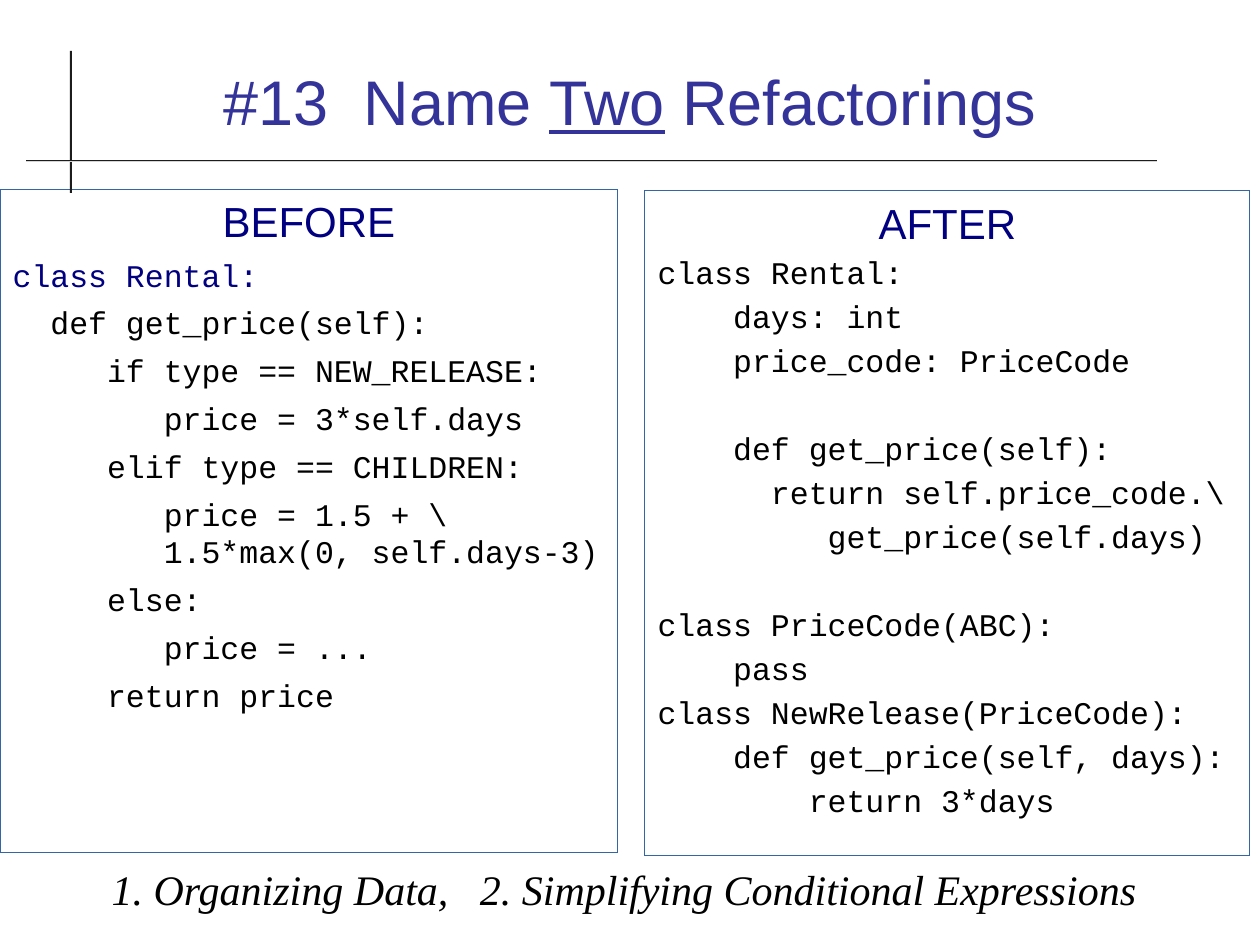
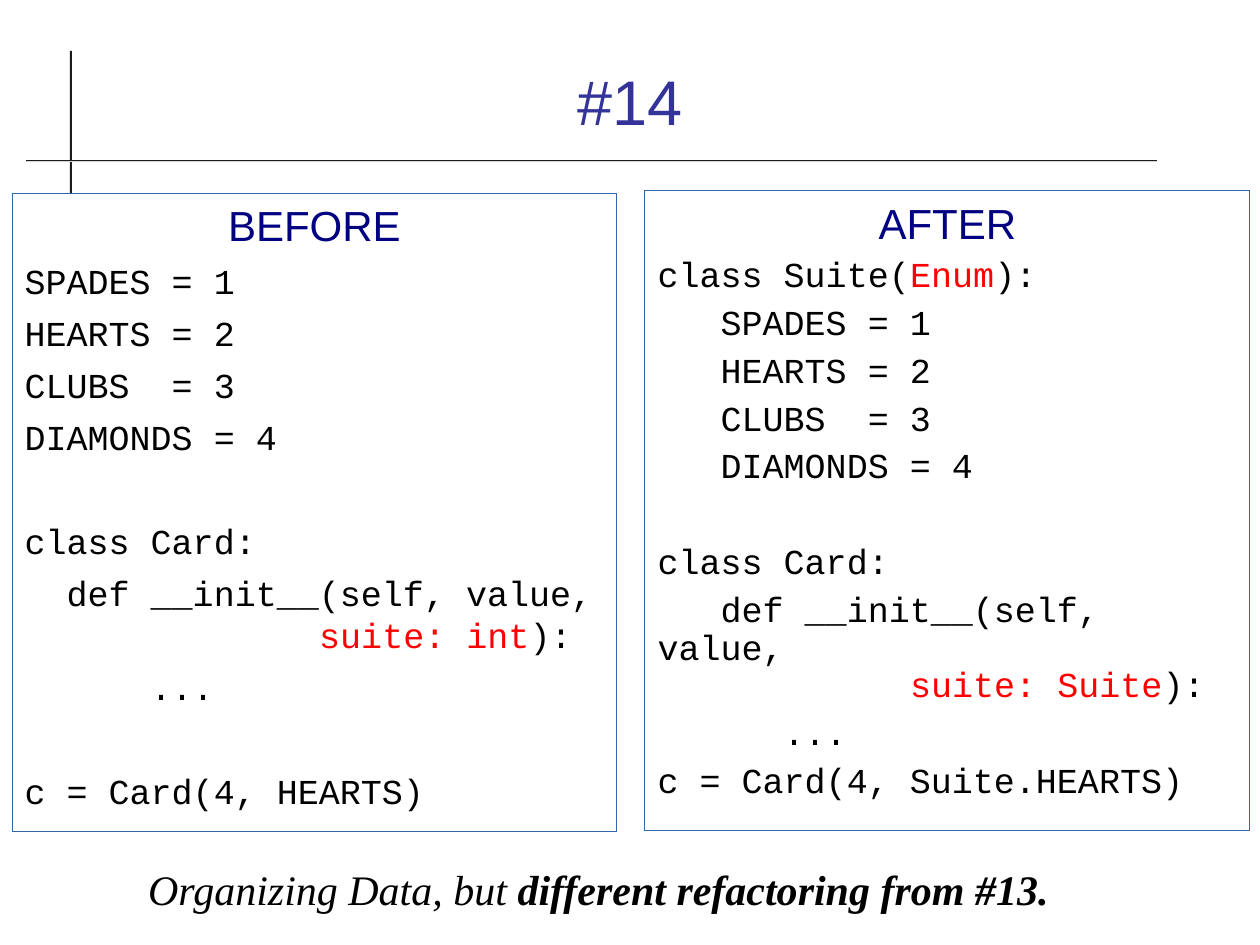
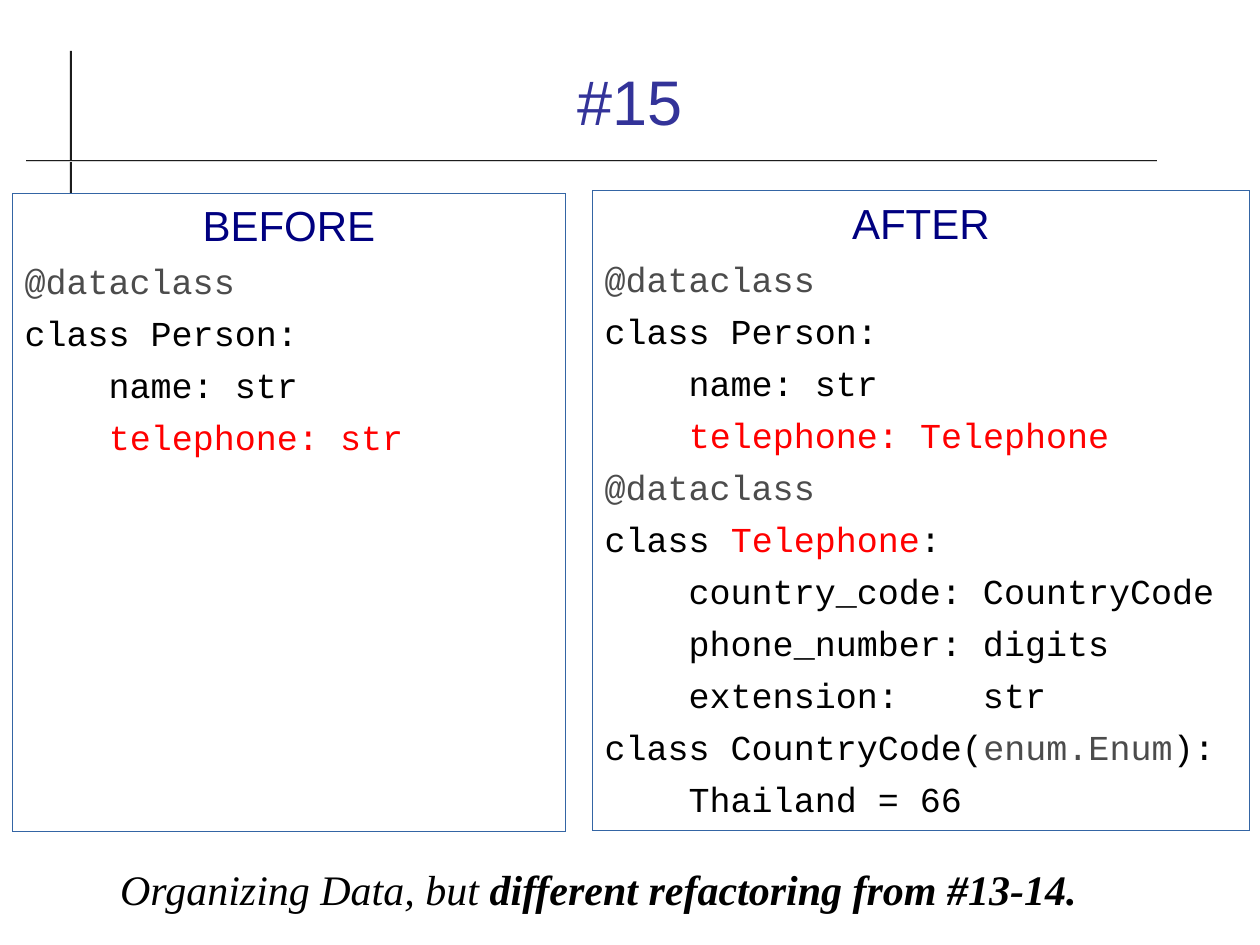
"""Build three before-and-after refactoring slides."""
from pptx import Presentation
from pptx.dml.color import RGBColor
from pptx.enum.shapes import MSO_SHAPE
from pptx.enum.text import MSO_ANCHOR, MSO_AUTO_SIZE, PP_ALIGN
from pptx.oxml.ns import qn
from pptx.util import Emu, Pt
from lxml.etree import SubElement

PX = 7257
INK, BLUE, NAVY, RED, GREY = "000000", "333399", "000080", "FF0000", "4C4C4C"
EDGE, BAR, WHITE = "3465A4", "1C1C1C", "FFFFFF"
TITLE = {"name": "Arial", "size": Pt(36), "color": BLUE}
HEAD = {"name": "Arial", "size": Pt(24), "color": NAVY}
CODE = {"name": "Courier New", "color": INK}
NOTE = {"name": "Times New Roman", "size": Pt(24), "color": INK, "italic": True}
TINTS = {"class Rental:": NAVY, "@dataclass": GREY, "enum.Enum": GREY}
GAP = 5.7


def paint(color):
    return RGBColor.from_string(color)


def write(para, text, style, **more):
    run = para.add_run()
    run.text = text
    for key, val in {**style, **more}.items():
        if key == "color":
            run.font.color.rgb = paint(val)
        else:
            setattr(run.font, key, val)


rental = r"""|class Rental:|
  def get_price(self):
     if type == NEW_RELEASE:
        price = 3*self.days
     elif type == CHILDREN:
        price = 1.5 + \¶        1.5*max(0, self.days-3)
     else:
        price = ...
     return price"""

price = r"""class Rental:
    days: int
    price_code: PriceCode

    def get_price(self):
      return self.price_code.\
         get_price(self.days)

class PriceCode(ABC):
    pass
class NewRelease(PriceCode):
    def get_price(self, days):
        return 3*days"""

cards = """SPADES = 1
HEARTS = 2
CLUBS  = 3
DIAMONDS = 4

class Card:
  def __init__(self, value,¶              |suite: int|):
      ...

c = Card(4, HEARTS)"""

suite = """class Suite(|Enum|):
   SPADES = 1
   HEARTS = 2
   CLUBS  = 3
   DIAMONDS = 4

class Card:
   def __init__(self, value,¶            |suite: Suite|):
      ...
c = Card(4, Suite.HEARTS)"""

person = """|@dataclass|
class Person:
    name: str
    |telephone: str|"""

phone = """|@dataclass|
class Person:
    name: str
    |telephone: Telephone|
|@dataclass|
class |Telephone|:
    country_code: CountryCode
    phone_number: digits
    extension:    str
class CountryCode(|enum.Enum|):
    Thailand = 66"""

slides = [
    {"title": ["#13  Name ", "Two", " Refactorings"], "size": 18,
     "panels": [("BEFORE", rental, 1, (0, 189, 618, 664)),
                ("AFTER", price, 0.9, (645, 191, 605, 665))],
     "note": ["1. Organizing Data,   2. Simplifying Conditional Expressions"],
     "spot": (38, 857, 1172, 72)},
    {"title": ["#14"], "size": 20,
     "panels": [("BEFORE", cards, 1, (12, 193, 605, 639)),
                ("AFTER", suite, 0.9, (645, 191, 605, 640))],
     "note": ["Organizing Data, but ", "different refactoring from #13."],
     "spot": (25, 857, 1147, 72)},
    {"title": ["#15"], "size": 20,
     "panels": [("BEFORE", person, 1, (12, 193, 554, 639)),
                ("AFTER", phone, 1, (592, 191, 658, 640))],
     "note": ["Organizing Data, but ", "different refactoring from #13-14."],
     "spot": (25, 857, 1147, 72)},
]

deck = Presentation()
deck.slide_width, deck.slide_height = Emu(1260 * PX), Emu(945 * PX)

for item in slides:
    slide = deck.slides.add_slide(deck.slide_layouts[3])
    title, *bodies = slide.placeholders

    for spot in ((70, 51, 2, 142), (26, 160, 1131, 2)):
        bar = slide.shapes.add_shape(MSO_SHAPE.RECTANGLE, *[n * PX for n in spot])
        bar.shadow.inherit = False
        bar.line.fill.background()
        if spot[2] > spot[3]:
            bar.fill.gradient()
            bar.fill.gradient_angle = 90
            for stop, color in zip(bar.fill.gradient_stops, (WHITE, BAR)):
                stop.color.rgb = paint(color)
        else:
            bar.fill.solid()
            bar.fill.fore_color.rgb = paint(BAR)

    title.left, title.top, title.width, title.height = [n * PX for n in (42, 32, 1176, 136)]
    frame = title.text_frame
    frame.auto_size, frame.vertical_anchor = MSO_AUTO_SIZE.NONE, MSO_ANCHOR.MIDDLE
    para = frame.paragraphs[0]
    para.alignment = PP_ALIGN.CENTER
    for i, text in enumerate(item["title"]):
        write(para, text, TITLE, underline=i == 1)

    for body, (head, code, pitch, spot) in zip(bodies, item["panels"]):
        body.left, body.top, body.width, body.height = [n * PX for n in spot]
        body.line.color.rgb = paint(EDGE)
        body.line.width = 0
        frame = body.text_frame
        frame.auto_size, frame.word_wrap = MSO_AUTO_SIZE.NONE, True
        para = frame.paragraphs[0]
        para.alignment, para.space_before = PP_ALIGN.CENTER, Pt(0)
        write(para, head, HEAD)
        space = GAP
        for line in code.split("\n"):
            if not line:
                space += GAP + 1.2 * item["size"] * pitch
                continue
            para = frame.add_paragraph()
            para.line_spacing, para.space_before = pitch, Pt(space)
            space = GAP
            for i, part in enumerate(line.split("|")):
                color = TINTS.get(part, RED) if i % 2 else INK
                for j, text in enumerate(part.split("¶")):
                    if j:
                        para.add_line_break()
                    if text:
                        write(para, text, CODE, size=Pt(item["size"]), color=color)
        for para in frame.paragraphs:
            props = para._p.get_or_add_pPr()
            props.set("marL", "0")
            props.set("indent", "0")
            SubElement(props, qn("a:buNone"))

    note = slide.shapes.add_textbox(*[n * PX for n in item["spot"]])
    note.text_frame.word_wrap = True
    para = note.text_frame.paragraphs[0]
    para.alignment = PP_ALIGN.CENTER
    for i, text in enumerate(item["note"]):
        write(para, text, NOTE, bold=i == 1)

deck.save("out.pptx")
